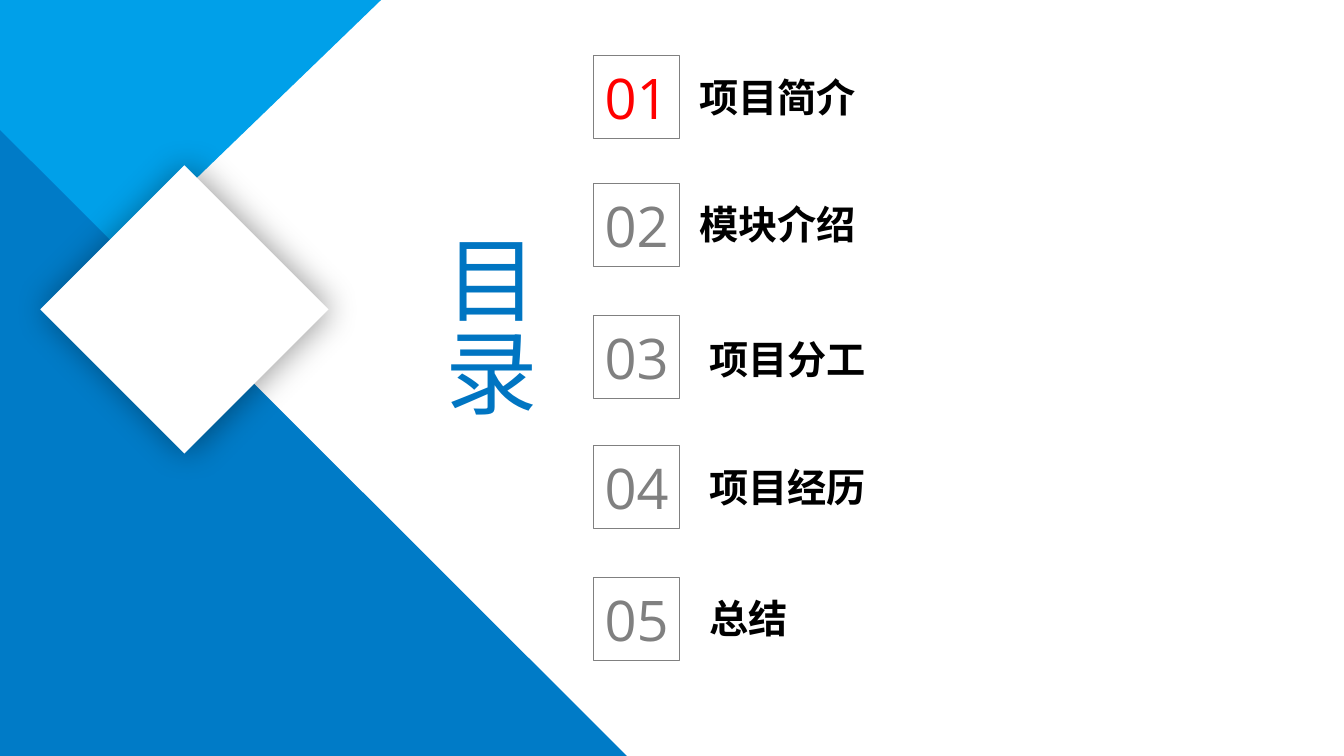
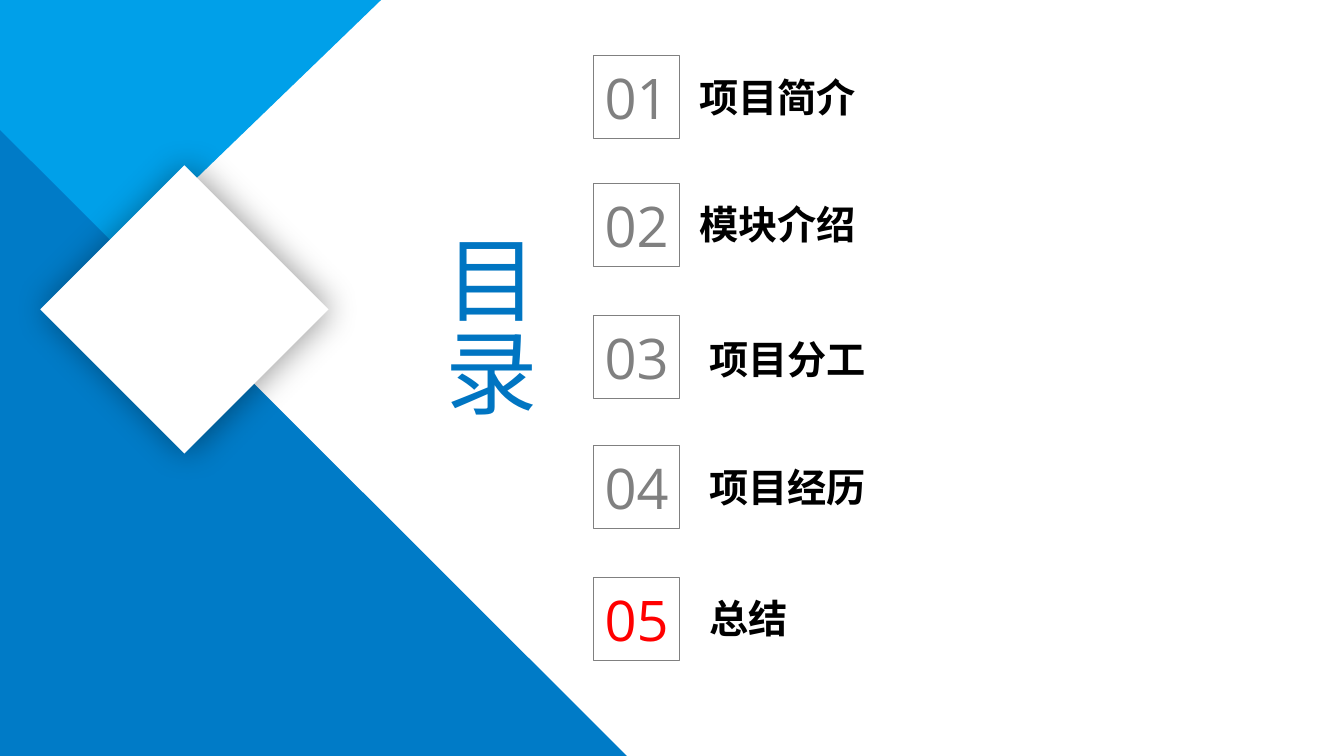
import pptx
import pptx.util
import pptx.dml.color
import pptx.enum.shapes
import pptx.enum.text
import pptx.oxml.ns
import lxml.etree

Pt = pptx.util.Pt
Kind = pptx.enum.shapes.MSO_SHAPE
Align = pptx.enum.text.PP_ALIGN
Fit = pptx.enum.text.MSO_AUTO_SIZE
qn = pptx.oxml.ns.qn

# Content: label, top of number box, then left, top, width of label
TITLE = "目录"
ITEMS = [
    ("项目简介", 39.6, 492.5, 49, 126.7),
    ("模块介绍", 131, 492.5, 139.7, 422),
    ("项目分工", 225.4, 499.7, 236.2, 381.6),
    ("项目经历", 318.2, 499.7, 327.6, 393),
    ("总结", 412.6, 499.7, 421.2, 393),
]
ACTIVE = [1, 5]  # highlighted item on each slide

# Shared style
SKY, BLUE, INK = "00A0E9", "007BC7", "0075C2"
GREY, RED, BLACK, WHITE = "808080", "FF0000", "000000", "FFFFFF"
CJK, LATIN = "Noto Sans CJK SC", "Open Sans"
BOX_LEFT, BOX_WIDE, BOX_HIGH = 424.1, 61.2, 59.2
LABEL_HIGH = 41.2


def color(code):
    return pptx.dml.color.RGBColor.from_string(code)


def add_shape(slide, kind, area, fill=None):
    shape = slide.shapes.add_shape(kind, *map(Pt, area))
    shape.shadow.inherit = False
    if fill:
        shape.fill.solid()
        shape.fill.fore_color.rgb = color(fill)
    else:
        shape.fill.background()
    shape.line.fill.background()
    return shape


def set_text(shape, text, size, font, code, align, bold=False):
    para = shape.text_frame.paragraphs[0]
    para.text = text
    para.alignment = align
    run = para.runs[0]
    run.font.size = Pt(size)
    run.font.bold = bold
    run.font.color.rgb = color(code)
    run.font.name = font
    east = lxml.etree.SubElement(run.font._element, qn("a:ea"))
    east.set("typeface", font)


def add_text(slide, area, text, size, code, align, bold=False, wrap=True):
    box = slide.shapes.add_textbox(*map(Pt, area))
    box.text_frame.word_wrap = wrap
    box.text_frame.auto_size = Fit.SHAPE_TO_FIT_TEXT
    set_text(box, text, size, CJK, code, align, bold)
    return box


def add_glow(shape):
    effects = shape._element.spPr.find(qn("a:effectLst"))
    glow = lxml.etree.SubElement(effects, qn("a:outerShdw"))
    glow.set("blurRad", str(Pt(24)))
    glow.set("dist", str(Pt(2)))
    glow.set("dir", "0")
    glow.set("algn", "ctr")
    glow.set("rotWithShape", "0")
    tint = lxml.etree.SubElement(glow, qn("a:srgbClr"), val=BLACK)
    lxml.etree.SubElement(tint, qn("a:alpha"), val="40000")


def add_decor(slide):
    upper = add_shape(slide, Kind.RIGHT_TRIANGLE, (0, 0, 272.2, 262.8), SKY)
    upper._element.spPr.find(qn("a:xfrm")).set("flipV", "1")
    add_shape(slide, Kind.RIGHT_TRIANGLE, (0, 92.9, 447.8, 447.1), BLUE)
    diamond = add_shape(slide, Kind.DIAMOND, (28.8, 118.1, 205.9, 205.9), WHITE)
    add_glow(diamond)


def add_number(slide, number, top, code):
    area = (BOX_LEFT, top, BOX_WIDE, BOX_HIGH)
    box = add_shape(slide, Kind.RECTANGLE, area)
    box.line.color.rgb = color(GREY)
    box.line.width = Pt(0.5)
    frame = box.text_frame
    frame.margin_left = frame.margin_right = 0
    frame.margin_top = frame.margin_bottom = 0
    frame.vertical_anchor = pptx.enum.text.MSO_ANCHOR.MIDDLE
    set_text(box, f"{number:02d}", 40, LATIN, code, Align.CENTER)


def add_agenda(deck, active):
    slide = deck.slides.add_slide(deck.slide_layouts[6])
    add_decor(slide)

    # Vertical title
    title = add_text(slide, (297.4, 159.8, 94.3, 218.2), TITLE, 66, INK,
                     Align.JUSTIFY)
    title.text_frame._txBody.bodyPr.set("vert", "eaVert")

    # Numbered items
    for number, (label, top, left, text_top, width) in enumerate(ITEMS, 1):
        add_number(slide, number, top, RED if number == active else GREY)
        add_text(slide, (left, text_top, width, LABEL_HIGH), label, 28, BLACK,
                 Align.LEFT, bold=True, wrap=number > 1)


def main():
    deck = pptx.Presentation()
    deck.slide_width, deck.slide_height = Pt(960), Pt(540)
    for active in ACTIVE:
        add_agenda(deck, active)
    deck.save("out.pptx")


if __name__ == "__main__":
    main()
